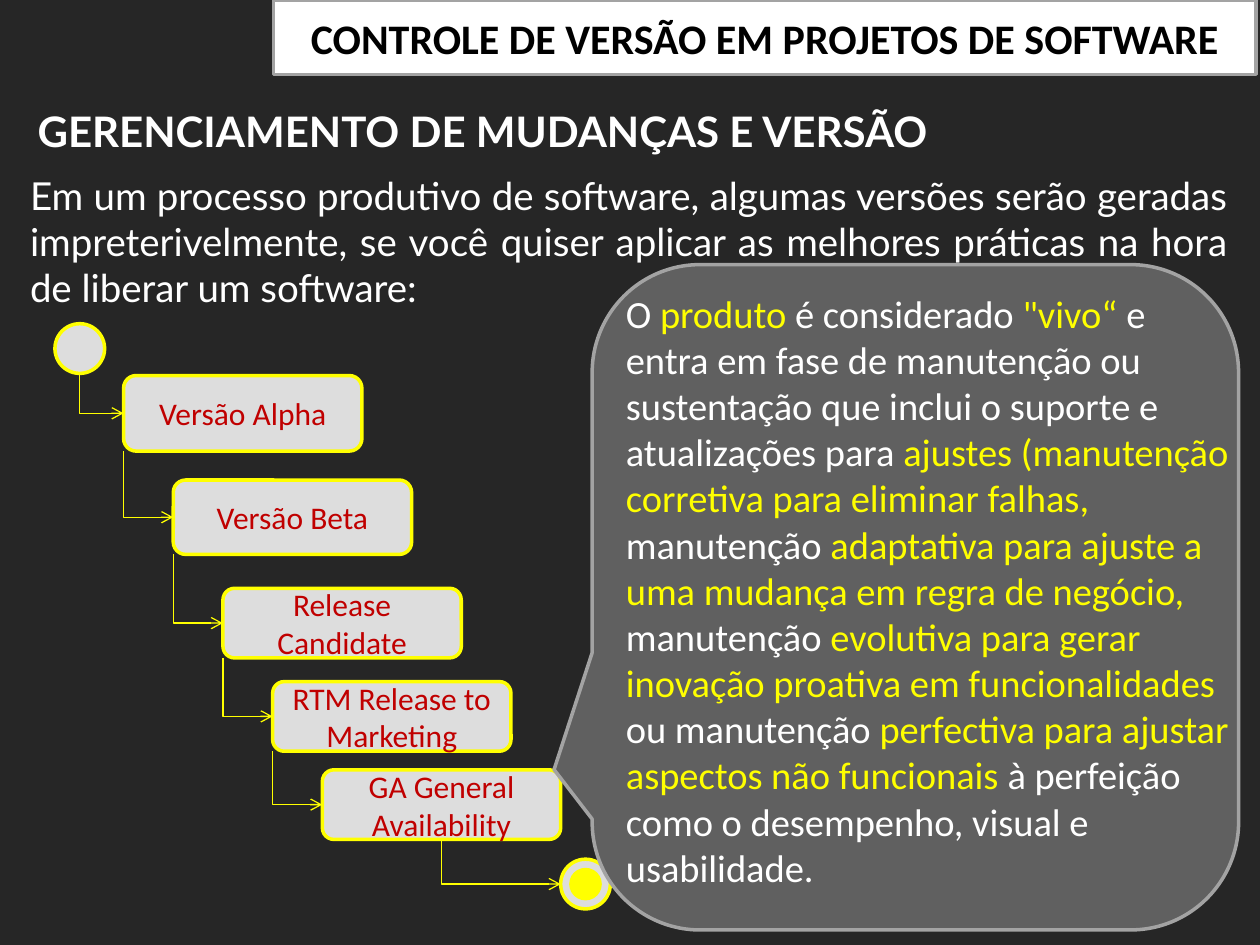
from lxml.etree import SubElement
from pptx import Presentation
from pptx.dml.color import RGBColor
from pptx.enum.shapes import MSO_CONNECTOR, MSO_SHAPE
from pptx.enum.text import MSO_ANCHOR, PP_ALIGN
from pptx.oxml.ns import qn
from pptx.util import Pt

HUES = {
    "dark": "262626", "white": "FFFFFF", "black": "000000", "edge": "A3A3A3",
    "pale": "DDDDDD", "yellow": "FFFF00", "red": "C00000", "gray": "606060",
}

STEPS = [
    ("Versão Alpha", 214.6, 43.2),
    ("Versão Beta", 274.3, 42.5),
    ("Release Candidate", 336.2, 39.8),
    ("RTM Release to Marketing", 389.5, 39.8),
    ("GA General Availability", 439.9, 39.8),
]

NOTE = [
    "O ", "produto ", "é considerado ", "\"vivo“ ",
    "e entra em fase de manutenção ou sustentação que inclui o suporte e atualizações para ",
    "ajustes (manutenção corretiva para eliminar falhas, ", "manutenção ",
    "adaptativa para ajuste a uma mudança em regra de negócio,", " manutenção ",
    "evolutiva para gerar inovação proativa em funcionalidades ", "ou manutenção ",
    "perfectiva para ajustar aspectos não funcionais ",
    "à perfeição como o desempenho, visual e usabilidade.",
]


def tint(name):
    return RGBColor.from_string(HUES[name])


def style(run, font, size, hue, bold=False):
    run.font.name = font
    run.font.size = Pt(size)
    run.font.bold = bold
    run.font.color.rgb = tint(hue)


def draw(slide, kind, box, fill, edge):
    shape = slide.shapes.add_shape(kind, *map(Pt, box))
    shape.shadow.inherit = False
    shape.fill.solid()
    shape.fill.fore_color.rgb = tint(fill)
    shape.line.color.rgb = tint(edge)
    shape.line.width = Pt(2)
    return shape


def label(shape, text, size, hue, bold=False):
    frame = shape.text_frame
    frame.word_wrap = True
    frame.vertical_anchor = MSO_ANCHOR.MIDDLE
    frame.text = text
    para = frame.paragraphs[0]
    para.alignment = PP_ALIGN.CENTER
    style(para.runs[0], "Calibri", size, hue, bold)


def write(slide, box, text, size, bold=False):
    frame = slide.shapes.add_textbox(*map(Pt, box)).text_frame
    frame.word_wrap = True
    frame.margin_bottom = 0
    frame.text = text
    style(frame.paragraphs[0].runs[0], "Lato", size, "white", bold)
    return frame


def link(slide, start, end):
    wide, high = end[0] - start[0], end[1] - start[1]
    left = start[0] + (wide - high) / 2
    top = start[1] + (high - wide) / 2
    line = slide.shapes.add_connector(
        MSO_CONNECTOR.ELBOW, Pt(left + high), Pt(top), Pt(left), Pt(top + wide))
    line.line.color.rgb = tint("yellow")
    line.line.width = Pt(0.75)
    props = line._element.spPr
    props.find(qn("a:xfrm")).set("rot", "16200000")
    props.find(qn("a:prstGeom")).set("prst", "bentConnector2")
    SubElement(props.find(qn("a:ln")), qn("a:tailEnd"), type="arrow")
    SubElement(props, qn("a:effectLst"))


def banner(slide, box):
    bar = draw(slide, MSO_SHAPE.RECTANGLE, box, "white", "edge")
    label(bar, "CONTROLE DE VERSÃO EM PROJETOS DE SOFTWARE", 24, "black", True)


def intro(slide, box):
    left, top, wide, high = box
    write(slide, (left + 4.3, top, 664, 32.4),
          "GERENCIAMENTO DE MUDANÇAS E VERSÃO", 24, True)
    body = write(slide, (left, top + 37.4, wide, high - 37.4),
                 "Em um processo produtivo de software, algumas versões serão geradas "
                 "impreterivelmente, se você quiser aplicar as melhores práticas na hora "
                 "de liberar um software:", 22)
    body.vertical_anchor = MSO_ANCHOR.MIDDLE
    body.paragraphs[0].alignment = PP_ALIGN.JUSTIFY


def flow(slide, box):
    left, top, wide, high = box
    ball, core, card, shift = 28.4, 16.6, 136.2, 28.4
    last = left + wide - ball, top + high - ball
    inset = (ball - core) / 2
    draw(slide, MSO_SHAPE.OVAL, (left, top, ball, ball), "pale", "yellow")
    draw(slide, MSO_SHAPE.OVAL, (*last, ball, ball), "pale", "yellow")
    draw(slide, MSO_SHAPE.OVAL, (last[0] + inset, last[1] + inset, core, core),
         "yellow", "yellow")
    start = left + ball / 2, top + ball
    for rank, (text, drop, tall) in enumerate(STEPS):
        side, head = left + 39.2 + rank * shift, top + drop - 185
        step = draw(slide, MSO_SHAPE.ROUNDED_RECTANGLE, (side, head, card, tall),
                    "pale", "yellow")
        label(step, text, 18, "red")
        link(slide, start, (side, head + tall / 2))
        start = side, head + tall
    link(slide, (start[0] + card / 2, start[1]), (last[0], last[1] + ball / 2))


def bubble(slide, box):
    left, top, wide, high = box
    shape = draw(slide, MSO_SHAPE.ROUNDED_RECTANGULAR_CALLOUT, box, "gray", "edge")
    for rank, value in enumerate((-0.559, 0.259, 0.167)):
        shape.adjustments[rank] = value
    area = left + 12.2, top + 10.8, wide - 8.6, high - 26.6
    frame = slide.shapes.add_textbox(*map(Pt, area)).text_frame
    frame.word_wrap = True
    for rank, text in enumerate(NOTE):
        run = frame.paragraphs[0].add_run()
        run.text = text
        style(run, "Calibri", 22, "yellow" if rank % 2 else "white")


def main():
    deck = Presentation()
    deck.slide_width, deck.slide_height = Pt(720), Pt(540)
    slide = deck.slides.add_slide(deck.slide_layouts[6])
    slide.background.fill.solid()
    slide.background.fill.fore_color.rgb = tint("dark")
    banner(slide, (156.2, 0, 561.6, 42.5))
    intro(slide, (10.1, 56.9, 698.4, 120.9))
    flow(slide, (31.4, 185, 317.4, 334.4))
    bubble(slide, (338.4, 151.2, 369.4, 380.2))
    deck.save("out.pptx")


if __name__ == "__main__":
    main()
